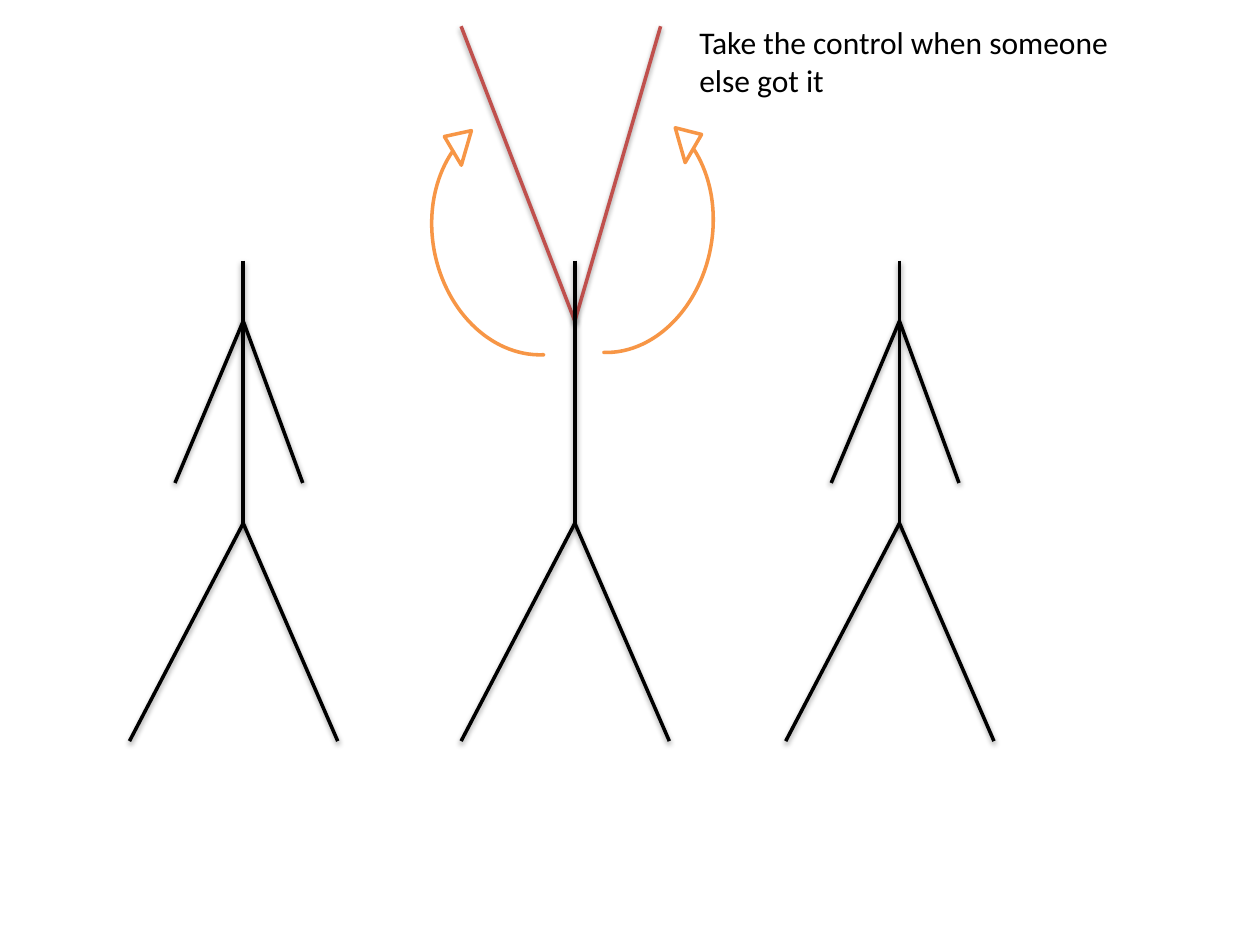
from lxml import etree
from pptx import Presentation
from pptx import util as u
from pptx.dml.color import RGBColor
from pptx.enum import shapes, text
from pptx.oxml import ns

BLACK, RED, ORANGE, WHITE = "000000", "C0504D", "F79646", "FFFFFF"
HEAD, NECK, HIP, FOOT = 149, 183.5, 300, 423.5
LOWERED_HANDS = ((34, 276), (-39, 276))
RAISED_HANDS = ((-65, 15), (49, 15))
FEET = (-65, 54)


def paint(color_format, color):
    """Apply a hex colour to a fill or line."""
    color_format.solid()
    color_format.fore_color.rgb = RGBColor.from_string(color)


def add_shadow(limb):
    """Give a limb a soft shadow straight below it."""
    effects = etree.SubElement(limb.element.spPr, ns.qn("a:effectLst"))
    shadow = etree.SubElement(effects, ns.qn("a:outerShdw"), blurRad="40000",
                              dist="20000", dir="5400000", rotWithShape="0")
    color = etree.SubElement(shadow, ns.qn("a:srgbClr"), val=BLACK)
    etree.SubElement(color, ns.qn("a:alpha"), val="38000")


def add_limb(slide, start, end, color=BLACK):
    """Draw one straight limb between two points."""
    limb = slide.shapes.add_connector(
        shapes.MSO_CONNECTOR.STRAIGHT, *(u.Pt(v) for v in (*start, *end)))
    limb.line.width = u.Pt(2)
    paint(limb.line.fill, color)
    add_shadow(limb)


def add_person(slide, center, hands, arm_color=BLACK):
    """Draw a stick figure around a vertical centre line."""
    for reach, height in hands:
        add_limb(slide, (center, NECK), (center + reach, height), arm_color)
    add_limb(slide, (center, HEAD), (center, HIP))
    for stride in FEET:
        add_limb(slide, (center, HIP - 1), (center + stride, FOOT))


def add_swing(slide, left, top, width, height, rotation, flipped=False):
    """Draw a curved arrow that shows an arm swinging up."""
    swing = slide.shapes.add_shape(
        shapes.MSO_SHAPE.CIRCULAR_ARROW,
        *(u.Pt(v) for v in (left, top, width, height)))
    for index, value in enumerate((0, 7.986, 196.478, 111.463, 0.072)):
        swing.adjustments[index] = value
    swing.rotation = rotation
    if flipped:
        swing.element.spPr.xfrm.set("flipV", "1")
    swing.shadow.inherit = False
    paint(swing.fill, WHITE)
    swing.line.width = u.Pt(2)
    paint(swing.line.fill, ORANGE)


def add_text(slide, wording, left, top, width, height, size=18,
             font="Calibri", color=BLACK):
    """Place unwrapped text with the given format."""
    caption = slide.shapes.add_textbox(
        *(u.Pt(v) for v in (left, top, width, height)))
    frame = caption.text_frame
    frame.word_wrap = False
    frame.auto_size = text.MSO_AUTO_SIZE.SHAPE_TO_FIT_TEXT
    paragraph = frame.paragraphs[0]
    paragraph.text = wording
    for run in paragraph.runs:
        run.font.size = u.Pt(size)
        run.font.name = font
        run.font.color.rgb = RGBColor.from_string(color)


def main():
    """Build and save the slide."""
    deck = Presentation()
    deck.slide_width, deck.slide_height = u.Pt(720), u.Pt(540)
    slide = deck.slides.add_slide(deck.slide_layouts[6])
    add_person(slide, 328.5, RAISED_HANDS, RED)
    add_swing(slide, 272, 67, 159, 129.5, 281.1, flipped=True)
    add_text(slide, "Take the control when someone\nelse got it",
             392.5, 9.5, 251, 51)
    add_swing(slide, 224.5, 67, 159, 132.5, 258.7)
    for center in (139, 514):
        add_person(slide, center, LOWERED_HANDS)
    deck.save("out.pptx")


if __name__ == "__main__":
    main()
